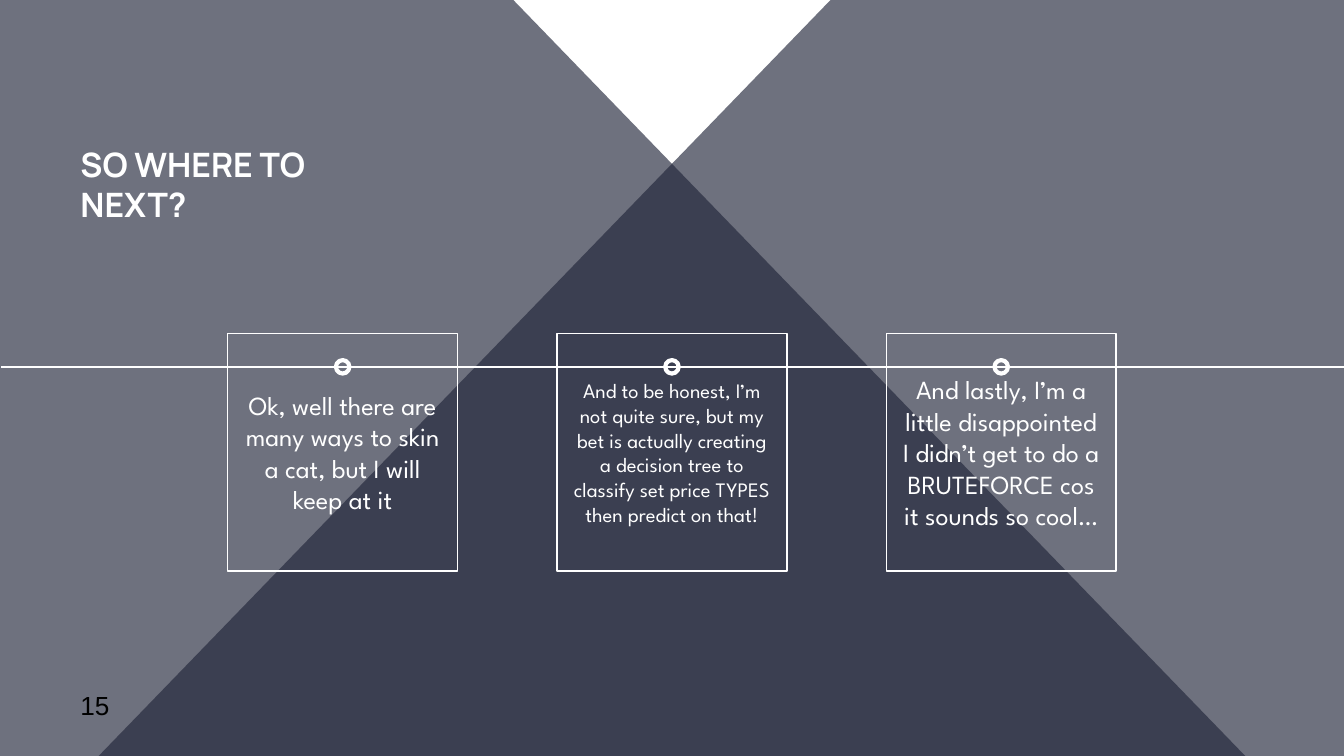
from lxml import etree
from pptx import Presentation
from pptx.dml.color import RGBColor
from pptx.enum.shapes import MSO_CONNECTOR, MSO_SHAPE
from pptx.enum.text import MSO_ANCHOR, PP_ALIGN
from pptx.oxml.ns import qn
from pptx.util import Inches, Pt

RECT, OVAL = MSO_SHAPE.RECTANGLE, MSO_SHAPE.OVAL
LINE = MSO_CONNECTOR.STRAIGHT
MIDDLE, BOTTOM = MSO_ANCHOR.MIDDLE, MSO_ANCHOR.BOTTOM
LEFT, CENTER = PP_ALIGN.LEFT, PP_ALIGN.CENTER
WHITE = RGBColor(0xFF, 0xFF, 0xFF)
BLACK = RGBColor(0, 0, 0)
NAVY = RGBColor(0x21, 0x25, 0x39)

WIDE = 10
HIGH = WIDE * 9 / 16
TITLE = "SO WHERE TO NEXT?"
PAGE = "15"
STEPS = [
    ("Ok, well there are many ways to skin a cat, but I will keep at it", 14),
    ("And to be honest, I’m not quite sure, but my bet is actually creating "
     "a decision tree to classify set price TYPES then predict on that!", 11),
    ("And lastly, I’m a little disappointed I didn’t get to do a BRUTEFORCE "
     "cos it sounds so cool…", 14),
]
WING = [(6.19, -0.01), (10, 0), (10, 5.63), (0.73, 5.63)]
OPACITY = 65
STEP_GAP = 2.45
CARD_TOP, CARD_W, CARD_H = 2.48, 1.71, 1.77
AXIS_Y, DOT = 2.73, 0.1

prs = Presentation()
prs.slide_width, prs.slide_height = Inches(WIDE), Inches(HIGH)
slide = prs.slides.add_slide(prs.slide_layouts[6])
shapes = slide.shapes


def add_wing(points):
    pts = [(Inches(x), Inches(y)) for x, y in points]
    draft = shapes.build_freeform(*pts[0])
    draft.add_line_segments(pts[1:], close=True)
    wing = draft.convert_to_shape()
    wing.shadow.inherit = False
    wing.fill.solid()
    wing.fill.fore_color.rgb = NAVY
    wing.line.fill.background()
    color = wing._element.spPr.find(qn("a:solidFill"))[0]
    etree.SubElement(color, qn("a:alpha")).set("val", str(OPACITY * 1000))


def add_frame(kind, x, y, w, h, weight):
    """Add a white outline without fill."""
    frame = shapes.add_shape(kind, Inches(x), Inches(y), Inches(w), Inches(h))
    frame.shadow.inherit = False
    frame.fill.background()
    frame.line.color.rgb = WHITE
    frame.line.width = Pt(weight)
    return frame


def set_text(shape, text, size, face, color, anchor, align, bold=False):
    frame = shape.text_frame
    frame.word_wrap = True
    frame.vertical_anchor = anchor
    frame.margin_left = frame.margin_right = Inches(0.1)
    frame.margin_top = frame.margin_bottom = Inches(0.1)
    para = frame.paragraphs[0]
    para.text = text
    para.alignment = align
    font = para.font
    font.size, font.name, font.bold = Pt(size), face, bold
    font.color.rgb = color


def add_label(x, y, w, h, *style):
    box = shapes.add_textbox(Inches(x), Inches(y), Inches(w), Inches(h))
    set_text(box, *style)


add_wing(WING)
add_wing([(WIDE - x, y) for x, y in WING])

add_label(0.5, 1.08, 2.61, 0.69,
          TITLE, 18, "Manrope", WHITE, BOTTOM, LEFT, True)
add_label(0.5, 5.11, 0.6, 0.27, PAGE, 14, "Arial", BLACK, MIDDLE, LEFT)

axis = shapes.add_connector(LINE, Inches(WIDE), Inches(AXIS_Y),
                            Inches(0.01), Inches(AXIS_Y))
axis.line.color.rgb = WHITE
axis.line.width = Pt(0.75)
etree.SubElement(axis._element.spPr, qn("a:effectLst"))

for i, (text, size) in enumerate(STEPS):
    mid = WIDE / 2 + (i - 1) * STEP_GAP
    add_frame(OVAL, mid - DOT / 2, AXIS_Y - DOT / 2, DOT, DOT, 2.25)
    card = add_frame(RECT, mid - CARD_W / 2, CARD_TOP, CARD_W, CARD_H, 0.75)
    set_text(card, text, size, "League Spartan", WHITE, MIDDLE, CENTER)

prs.save("out.pptx")
